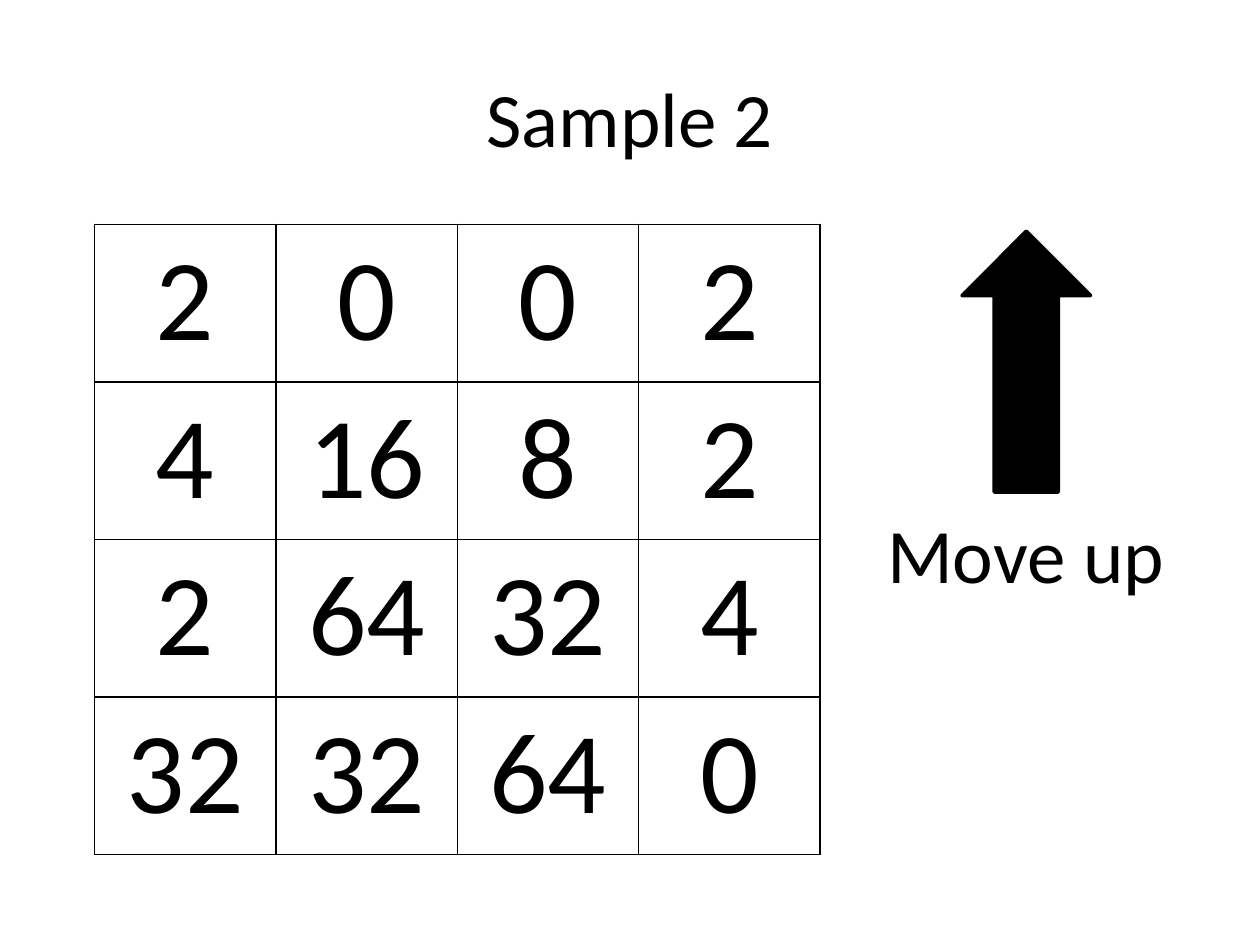
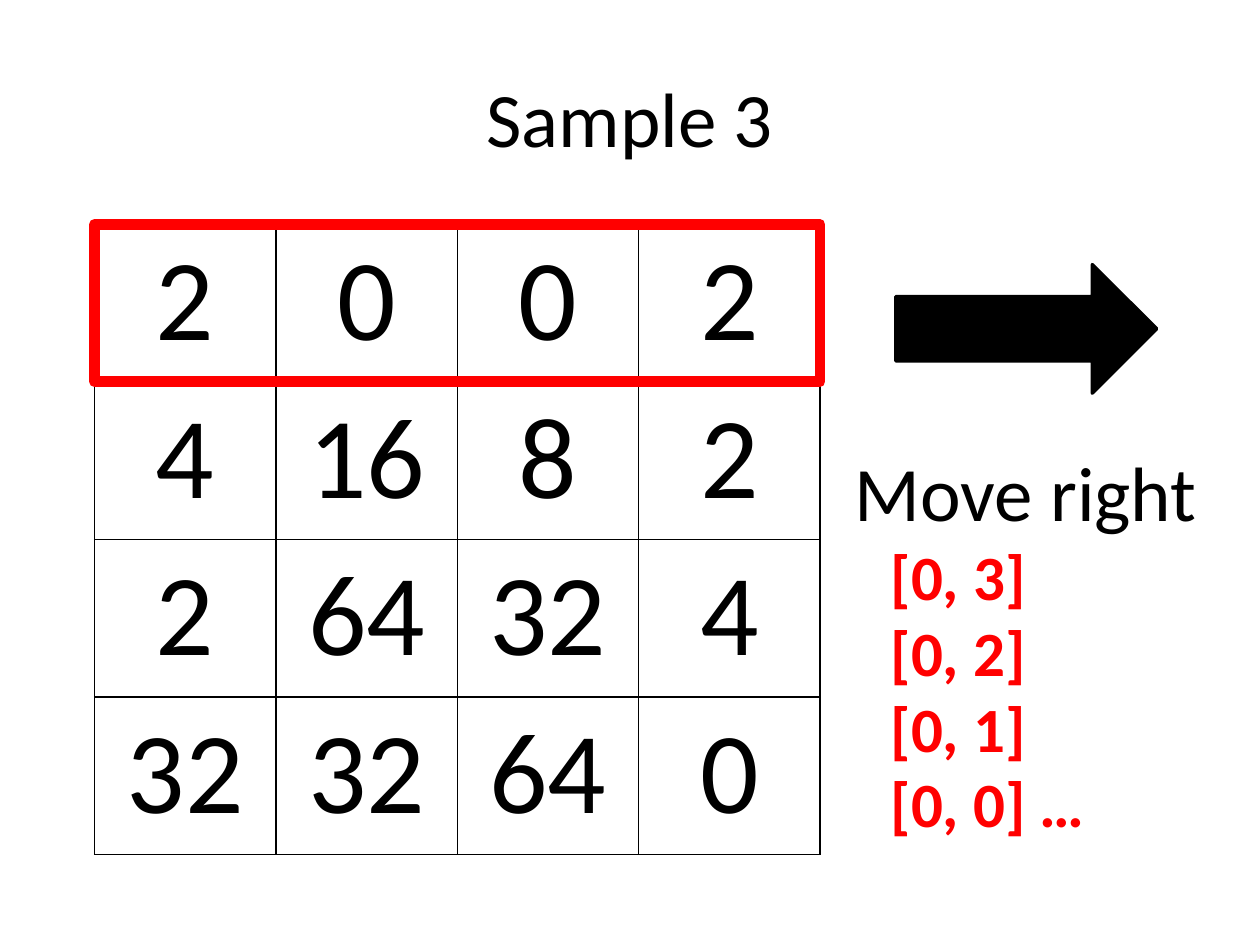
from dataclasses import dataclass

from lxml.etree import SubElement
from pptx import Presentation
from pptx.dml.color import RGBColor
from pptx.enum.shapes import MSO_SHAPE as Preset
from pptx.enum.text import MSO_ANCHOR as Anchor, MSO_AUTO_SIZE as AutoSize, PP_ALIGN as Align
from pptx.oxml.ns import qn
from pptx.util import Pt

# Shared look: 100 px to the inch
EMU_PER_PX = 9144
FONT = "Calibri"
BLACK, RED = "000000", "FF0000"
TITLE_ONLY = 5
GRID_LEFT, GRID_TOP, CELL_WIDTH, CELL_HEIGHT = 75, 178, 144, 125
BOARD = [
    [2, 0, 0, 2],
    [4, 16, 8, 2],
    [2, 64, 32, 4],
    [32, 32, 64, 0],
]


@dataclass
class Area:
    left: int
    top: int
    width: int
    height: int

    def emu(self) -> tuple[int, ...]:
        return tuple(px(n) for n in (self.left, self.top, self.width, self.height))


@dataclass
class TextStyle:
    size: int
    color: str = BLACK
    bold: bool = False
    align: Align = Align.CENTER


@dataclass
class Sample:
    title: str
    move: str
    move_area: Area
    arrow_area: Area
    arrow_turn: int = 0
    visit_order: tuple[str, ...] = ()


HEADING = TextStyle(44)
NUMBER = TextStyle(66)
INDEX = TextStyle(36, RED, True, Align.LEFT)

SAMPLES = [
    Sample("Sample 2", "Move up", Area(680, 397, 268, 84), Area(711, 236, 207, 102), 270),
    Sample("Sample 3", "Move right", Area(664, 348, 300, 84), Area(711, 210, 207, 102),
           visit_order=("[0, 3]", "[0, 2]", "[0, 1]", "[0, 0] …")),
]


def px(length: int) -> int:
    return length * EMU_PER_PX


def rgb(color: str) -> RGBColor:
    return RGBColor.from_string(color)


def write(frame, lines: tuple[str, ...], style: TextStyle) -> None:
    for number, line in enumerate(lines):
        para = frame.add_paragraph() if number else frame.paragraphs[0]
        para.alignment = style.align
        span = para.add_run()
        span.text = line
        span.font.name = FONT
        span.font.size = Pt(style.size)
        span.font.bold = style.bold
        span.font.color.rgb = rgb(style.color)


def add_title(page, text: str) -> None:
    title = page.shapes.title
    title.left, title.top, title.width, title.height = Area(50, 30, 900, 125).emu()
    title.text_frame.vertical_anchor = Anchor.MIDDLE
    write(title.text_frame, (text,), HEADING)


def add_text(page, area: Area, lines: tuple[str, ...], style: TextStyle) -> None:
    frame = page.shapes.add_textbox(*area.emu()).text_frame
    frame.word_wrap = True
    frame.auto_size = AutoSize.SHAPE_TO_FIT_TEXT
    write(frame, lines, style)


def add_borders(cell) -> None:
    properties = cell._tc.get_or_add_tcPr()
    for position, side in enumerate(("a:lnL", "a:lnR", "a:lnT", "a:lnB")):
        line = SubElement(properties, qn(side), w=str(Pt(1)))
        fill = SubElement(line, qn("a:solidFill"))
        SubElement(fill, qn("a:srgbClr"), val=BLACK)
        properties.insert(position, line)  # borders come before the fill


def add_board(page) -> None:
    rows, columns = len(BOARD), len(BOARD[0])
    area = Area(GRID_LEFT, GRID_TOP, columns * CELL_WIDTH, rows * CELL_HEIGHT)
    table = page.shapes.add_table(rows, columns, *area.emu()).table
    table.first_row = table.horz_banding = False
    for row, numbers in enumerate(BOARD):
        for column, number in enumerate(numbers):
            cell = table.cell(row, column)
            cell.fill.background()
            add_borders(cell)
            write(cell.text_frame, (str(number),), NUMBER)


def add_shape(page, preset: Preset, area: Area, color: str, line_width: int, filled: bool):
    shape = page.shapes.add_shape(preset, *area.emu())
    shape.shadow.inherit = False
    if filled:
        shape.fill.solid()
        shape.fill.fore_color.rgb = rgb(color)
    else:
        shape.fill.background()
    shape.line.color.rgb = rgb(color)
    shape.line.width = Pt(line_width)
    return shape


def add_sample(deck, sample: Sample) -> None:
    page = deck.slides.add_slide(deck.slide_layouts[TITLE_ONLY])
    add_title(page, sample.title)
    add_board(page)

    # Direction of the move
    add_text(page, sample.move_area, (sample.move,), HEADING)
    arrow = add_shape(page, Preset.RIGHT_ARROW, sample.arrow_area, BLACK, 2, True)
    arrow.rotation = sample.arrow_turn

    # First row marked, with the order in which its cells are visited
    if sample.visit_order:
        first_row = Area(GRID_LEFT, GRID_TOP, len(BOARD[0]) * CELL_WIDTH, CELL_HEIGHT)
        add_shape(page, Preset.RECTANGLE, first_row, RED, 6, False)
        add_text(page, Area(697, 422, 251, 252), sample.visit_order, INDEX)


def main() -> None:
    deck = Presentation()
    deck.slide_width, deck.slide_height = px(1000), px(750)
    for sample in SAMPLES:
        add_sample(deck, sample)
    deck.save("out.pptx")


if __name__ == "__main__":
    main()
